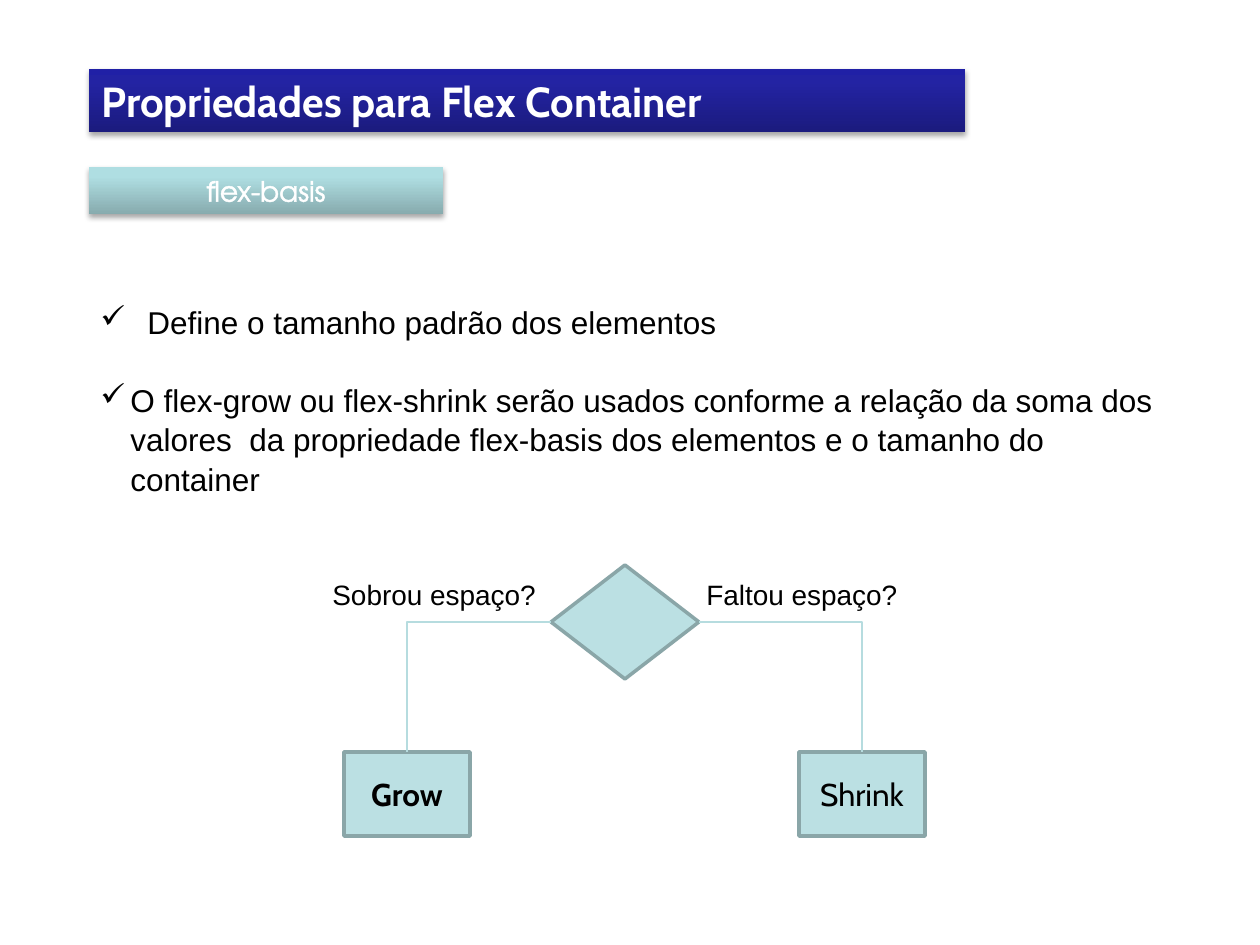
from lxml.etree import SubElement
from pptx import Presentation
from pptx.dml.color import RGBColor
from pptx.enum.shapes import MSO_CONNECTOR, MSO_SHAPE
from pptx.enum.text import MSO_ANCHOR, MSO_AUTO_SIZE, PP_ALIGN
from pptx.oxml.ns import qn
from pptx.util import Emu, Inches, Pt

PX = 914400 / 126
COLORS = {
    "white": "FFFFFF", "black": "000000",
    "node": "BBE0E3", "border": "8AA6A8", "link": "B6DCDF",
}
GRADIENTS = {
    "title": ((0, "1B1B7E"), (80, "2323A3"), (100, "2020A6")),
    "topic": ((0, "87ABAE"), (80, "AFDEE2"), (100, "AFE0E4")),
}


def px(value):
    """Turn picture pixels into EMU."""
    return Emu(round(value * PX))


def rgb(name):
    """Look up a named colour."""
    return RGBColor.from_string(COLORS[name])


def add_xml(parent, tag, **attrs):
    """Append a child element with the given attributes."""
    return SubElement(parent, qn(tag), {k: str(v) for k, v in attrs.items()})


def place(sp, box):
    """Move and size a shape to a pixel box."""
    for name, value in zip(("left", "top", "width", "height"), box):
        setattr(sp, name, px(value))


def write(p, text, color="black", **font):
    """Add one formatted run to a paragraph."""
    r = p.add_run()
    r.text = text
    r.font.color.rgb = rgb(color)
    for name, value in font.items():
        setattr(r.font, name, value)
    return r


def frame(sp, **settings):
    """Set text frame values and return the frame."""
    tf = sp.text_frame
    values = {"word_wrap": True, "auto_size": MSO_AUTO_SIZE.NONE,
              "vertical_anchor": MSO_ANCHOR.TOP}
    for name, value in {**values, **settings}.items():
        setattr(tf, name, value)
    return tf


def style_banner(sp, stops):
    """Give a banner its gradient and soft shadow."""
    sp.fill.gradient()
    sp.fill.gradient_angle = 90
    gs_list = sp._element.spPr.find(".//" + qn("a:gsLst"))
    gs_list.clear()
    for pos, color in stops:
        gs = add_xml(gs_list, "a:gs", pos=pos * 1000)
        add_xml(gs, "a:srgbClr", val=color)
    sp.line.fill.background()
    sp.shadow.inherit = False
    effects = sp._element.spPr.find(qn("a:effectLst"))
    shadow = add_xml(effects, "a:outerShdw", blurRad=Pt(3.1), dist=Pt(1.8),
                     dir=5400000, rotWithShape=0)
    add_xml(add_xml(shadow, "a:srgbClr", val=COLORS["black"]),
            "a:alpha", val=35000)


def add_title(s, text, box):
    """Format the title placeholder as a banner."""
    sp = s.shapes.title
    place(sp, box)
    style_banner(sp, GRADIENTS["title"])
    p = frame(sp).paragraphs[0]
    p.alignment = PP_ALIGN.LEFT
    write(p, text, "white", name="Cabin", size=Pt(24), bold=True)


def add_topic(s, text, box):
    """Add the topic banner with outlined letters."""
    sp = s.shapes.add_shape(MSO_SHAPE.RECTANGLE, *map(px, box))
    style_banner(sp, GRADIENTS["topic"])
    p = frame(sp, vertical_anchor=MSO_ANCHOR.MIDDLE).paragraphs[0]
    p.alignment = PP_ALIGN.CENTER
    r = write(p, text, "white", name="TeX Gyre Adventor", size=Pt(16))
    r_pr = r.font._element
    ln = add_xml(r_pr, "a:ln", w=Pt(1.45))
    add_xml(add_xml(ln, "a:solidFill"), "a:srgbClr", val=COLORS["white"])
    r_pr.insert(0, ln)


def add_bullets(s, items, box):
    """Add check-marked paragraphs, each with its hanging indent."""
    tf = frame(s.shapes.add_textbox(*map(px, box)))
    for i, (text, indent) in enumerate(items):
        p = tf.add_paragraph() if i else tf.paragraphs[0]
        p.line_spacing = 1.05
        p.space_before = Pt(21.7 if i else 0)
        p_pr = p._p.get_or_add_pPr()
        p_pr.set("marL", str(px(indent)))
        p_pr.set("indent", str(-px(indent)))
        add_xml(p_pr, "a:buChar", char="\u2713")
        write(p, text, name="Arial", size=Pt(18))


def add_label(s, text, box):
    """Add a branch question."""
    tf = frame(s.shapes.add_textbox(*map(px, box)), word_wrap=False)
    write(tf.paragraphs[0], text, name="Arial", size=Pt(16))


def add_node(s, kind, box, text="", bold=None):
    """Add a flowchart node."""
    sp = s.shapes.add_shape(kind, *map(px, box))
    sp.shadow.inherit = False
    sp.fill.solid()
    sp.fill.fore_color.rgb = rgb("node")
    sp.line.color.rgb = rgb("border")
    sp.line.width = Pt(2)
    if text:
        p = frame(sp, vertical_anchor=MSO_ANCHOR.MIDDLE).paragraphs[0]
        p.alignment = PP_ALIGN.CENTER
        write(p, text, name="Cabin", size=Pt(18), bold=bold)
    return sp


def add_branch(s, start, site, end):
    """Join a side of one node to the top of another with one bend."""
    cxn = s.shapes.add_connector(MSO_CONNECTOR.ELBOW, 0, 0, 0, 0)
    cxn.begin_connect(start, site)
    cxn.end_connect(end, 0)
    cxn.line.color.rgb = rgb("link")
    cxn.line.width = Pt(0.75)
    sp_pr = cxn._element.spPr
    sp_pr.find(qn("a:prstGeom")).set("prst", "bentConnector2")
    add_xml(sp_pr, "a:effectLst")


def main():
    """Build the slide."""
    prs = Presentation()
    prs.slide_width, prs.slide_height = Inches(10), Inches(7.5)
    s = prs.slides.add_slide(prs.slide_layouts[5])

    add_title(s, "Propriedades para Flex Container", (89, 69, 876, 63))
    add_topic(s, "flex-basis", (89, 167, 354, 47))
    add_bullets(s, (
        ("Define o tamanho padrão dos elementos", 47),
        ("O flex-grow ou flex-shrink serão usados conforme a relação da soma "
         "dos valores  da propriedade flex-basis dos elementos e o tamanho do "
         "container", 30),
    ), (88, 295, 1082, 204))

    decision = add_node(s, MSO_SHAPE.FLOWCHART_DECISION, (551, 565, 148, 114))
    for text, left, bold, site, question, label_left, label_width in (
        ("Grow", 344, True, 1, "Sobrou espaço?", 320, 230),
        ("Shrink", 799, False, 3, "Faltou espaço?", 694, 218),
    ):
        node = add_node(s, MSO_SHAPE.FLOWCHART_PROCESS,
                        (left, 752, 126, 84), text, bold)
        add_branch(s, decision, site, node)
        add_label(s, question, (label_left, 571, label_width, 47))

    prs.save("out.pptx")


main()
